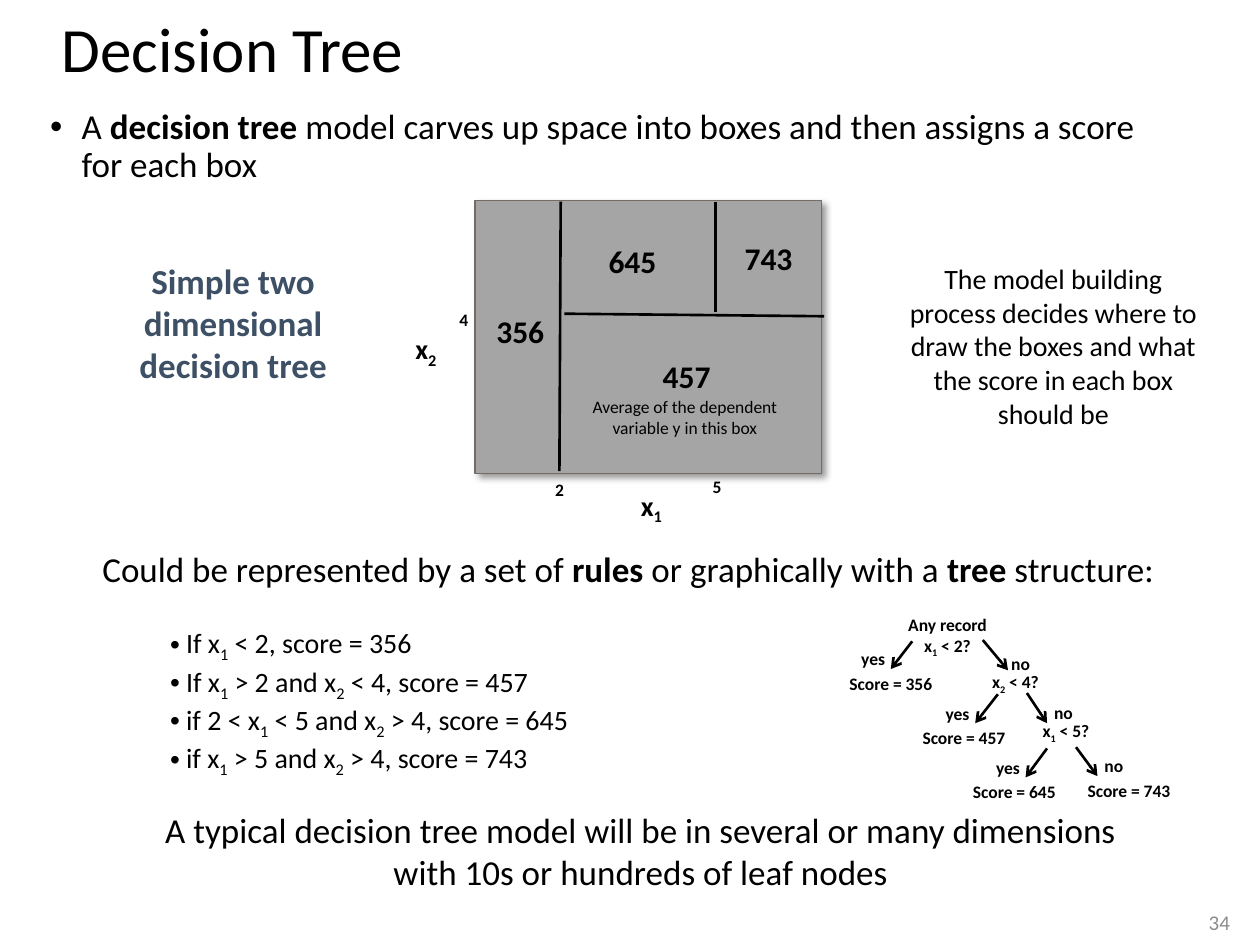
from lxml import etree
from pptx import Presentation
from pptx.dml.color import RGBColor
from pptx.enum.shapes import MSO_CONNECTOR as Link, MSO_SHAPE as Shape
from pptx.enum.text import MSO_ANCHOR as Anchor, MSO_AUTO_SIZE as Auto, PP_ALIGN as Align
from pptx.oxml import parse_xml
from pptx.oxml.ns import nsdecls, qn
from pptx.util import Inches, Pt

# In all wording, *...* is bold and _ lowers the next character.
TITLE = "Decision Tree"
LEAD = "A *decision tree* model carves up space into boxes and then assigns a score for each box"
RULES = [
    " If x_1 < 2, score = 356",
    " If x_1 > 2 and x_2 < 4, score = 457",
    " if 2 < x_1 < 5 and x_2 > 4, score = 645",
    " if x_1 > 5 and x_2 > 4, score = 743",
]
# lines, left, top, width, height, size, colour
NOTES = [
    (["The model building process decides where to draw the boxes "
      "and what the score in each box should be"], 7.14, 2.06, 2.44, 1.35, 16, "000000"),
    (["Could be represented by a set of *rules* or graphically with a *tree* structure:"],
     0.3, 4.34, 9.37, 0.34, 20, "000000"),
    (["*Simple two dimensional decision tree*"], 0.79, 2.05, 2.12, 1.01, 20, "3D5065"),
    (["A typical decision tree model will be in several or many dimensions",
      "with 10s or hundreds of leaf nodes"], 0.4, 6.41, 9.37, 0.67, 20, "000000"),
]
# text, centre x, top, size
PLOT_LABELS = [
    ("x_1", 5.17, 3.91, 16), ("x_2", 3.38, 2.67, 16),
    ("356", 4.13, 2.48, 18), ("645", 5.02, 1.92, 18),
    ("457", 5.45, 2.83, 18), ("743", 6.1, 1.9, 18),
    ("2", 4.44, 3.8, 10), ("4", 3.68, 2.45, 10), ("5", 5.69, 3.78, 10),
]
# start x, start y, end x, end y
CUTS = [(4.45, 1.6, 4.44, 3.74), (4.48, 2.49, 6.54, 2.51), (5.68, 2.48, 5.68, 1.6)]
TREE_LABELS = [
    ("Any record", 7.52, 4.87), ("x_1 < 2?", 7.52, 5.06),
    ("yes", 6.93, 5.14), ("no", 8.1, 5.18),
    ("Score = 356", 7.07, 5.34), ("x_2 < 4?", 8.06, 5.35),
    ("yes", 7.6, 5.58), ("no", 8.44, 5.57),
    ("Score = 457", 7.65, 5.77), ("x_1 < 5?", 8.46, 5.74),
    ("yes", 8.0, 6.01), ("no", 8.84, 5.99),
    ("Score = 645", 8.05, 6.2), ("Score = 743", 8.96, 6.19),
]
BRANCHES = [
    (7.24, 5.09, 7.07, 5.31), (7.8, 5.08, 8, 5.32),
    (7.92, 5.51, 7.74, 5.74), (8.15, 5.5, 8.31, 5.74),
    (8.31, 5.94, 8.14, 6.17), (8.54, 5.93, 8.71, 6.16),
]


def rgb(code):
    return RGBColor.from_string(code)


def fill_para(para, text, size, color="000000"):
    """Write marked-up text as runs."""
    def put(words, bold, low=False):
        if words:
            run = para.add_run()
            run.text = words
            font = run.font
            font.name, font.size, font.bold = "Calibri", Pt(size), bold
            font.color.rgb = rgb(color)
            if low:
                run._r.get_or_add_rPr().set("baseline", "-25000")

    for i, part in enumerate(text.split("*")):
        bold = i % 2 == 1
        first, *rest = part.split("_")
        put(first, bold)
        for piece in rest:
            put(piece[0], bold, True)
            put(piece[1:], bold)


def add_text(shapes, lines, box, size, color="000000", align=Align.CENTER,
             anchor=Anchor.BOTTOM, wrap=True, inset=(0, 0), grow=True):
    frame = shapes.add_textbox(*map(Inches, box)).text_frame
    frame.word_wrap, frame.vertical_anchor = wrap, anchor
    frame.auto_size = Auto.SHAPE_TO_FIT_TEXT if grow else Auto.NONE
    frame.margin_left = frame.margin_right = Inches(inset[0])
    frame.margin_top = frame.margin_bottom = Inches(inset[1])
    for i, line in enumerate(lines):
        para = frame.add_paragraph() if i else frame.paragraphs[0]
        para.alignment = align
        fill_para(para, line, size, color)
    return frame


def add_label(shapes, text, mid, top, size=10):
    """Add a bold one-line label, with room to spare, centred on mid."""
    wide = (len(text.replace("_", "")) + 1) * size * 0.0075
    box = (mid - wide / 2, top, wide, size / 60)
    add_text(shapes, [f"*{text}*"], box, size, wrap=False)


def add_line(shapes, ends, arrow=False):
    link = shapes.add_connector(Link.STRAIGHT, *map(Inches, ends))
    link.line.color.rgb, link.line.width = rgb("000000"), Pt(1.5)
    if arrow:
        etree.SubElement(link.line._get_or_add_ln(), qn("a:tailEnd"), type="arrow")
    etree.SubElement(link._element.spPr, qn("a:effectLst"))


def add_bullet(para, left=0, hang=0):
    props = para._p.get_or_add_pPr()
    props.set("marL", str(Inches(left)))
    props.set("indent", str(-Inches(hang)))
    etree.SubElement(props, qn("a:buFont"), typeface="Arial")
    etree.SubElement(props, qn("a:buChar"), char="•")


def add_plot(shapes):
    rect = shapes.add_shape(Shape.RECTANGLE, *map(Inches, (3.77, 1.59, 2.75, 2.17)))
    rect.fill.solid()
    rect.fill.fore_color.rgb = rgb("A5A5A5")
    rect.line.color.rgb, rect.line.width = rgb("766A65"), Pt(0.75)
    rect._element.spPr.append(parse_xml(
        f'<a:effectLst {nsdecls("a")}><a:outerShdw blurRad="{Pt(4)}" dist="{Pt(3)}" '
        'dir="2700000" algn="tl" rotWithShape="0"><a:srgbClr val="000000">'
        '<a:alpha val="40000"/></a:srgbClr></a:outerShdw></a:effectLst>'))
    for ends in CUTS:
        add_line(shapes, ends)
    for label in PLOT_LABELS:
        add_label(shapes, *label)
    add_text(shapes, ["Average of the dependent variable y in this box"],
             (4.56, 3.09, 1.75, 0.44), 10, anchor=Anchor.TOP, inset=(0.1, 0.05))


def add_tree(shapes):
    for ends in BRANCHES:
        add_line(shapes, ends, arrow=True)
    for label in TREE_LABELS:
        add_label(shapes, *label)


def set_title(title):
    title.left, title.top, title.width, title.height = map(Inches, (0.39, 0.38, 9.19, 0.35))
    frame = title.text_frame
    frame.vertical_anchor, frame.auto_size = Anchor.BOTTOM, Auto.NONE
    para = frame.paragraphs[0]
    para.alignment, para.line_spacing = Align.LEFT, 0.85
    fill_para(para, TITLE, 36)


def main():
    deck = Presentation()
    deck.slide_width, deck.slide_height = Inches(10), Inches(7.5)
    slide = deck.slides.add_slide(deck.slide_layouts[5])
    shapes = slide.shapes
    set_title(shapes.title)

    lead = add_text(shapes, [LEAD], (0.3, 0.82, 9.19, 0.75), 20, align=Align.LEFT,
                    anchor=Anchor.TOP, inset=(0.1, 0.05), grow=False).paragraphs[0]
    lead.line_spacing, lead.space_before = 0.9, Pt(10)
    add_bullet(lead, 0.25, 0.25)

    add_plot(shapes)
    for lines, *box, size, color in NOTES:
        add_text(shapes, lines, box, size, color)
    rules = add_text(shapes, RULES, (1.35, 5.1, 3.7, 1.08), 16,
                     align=Align.LEFT, wrap=False)
    for para in rules.paragraphs:
        add_bullet(para)
    add_tree(shapes.add_group_shape().shapes)
    add_text(shapes, ["34"], (8.19, 7.19, 1.67, 0.26), 12, "8C8C8C", Align.RIGHT,
             Anchor.MIDDLE, inset=(0.1, 0.05), grow=False)
    deck.save("out.pptx")


if __name__ == "__main__":
    main()
